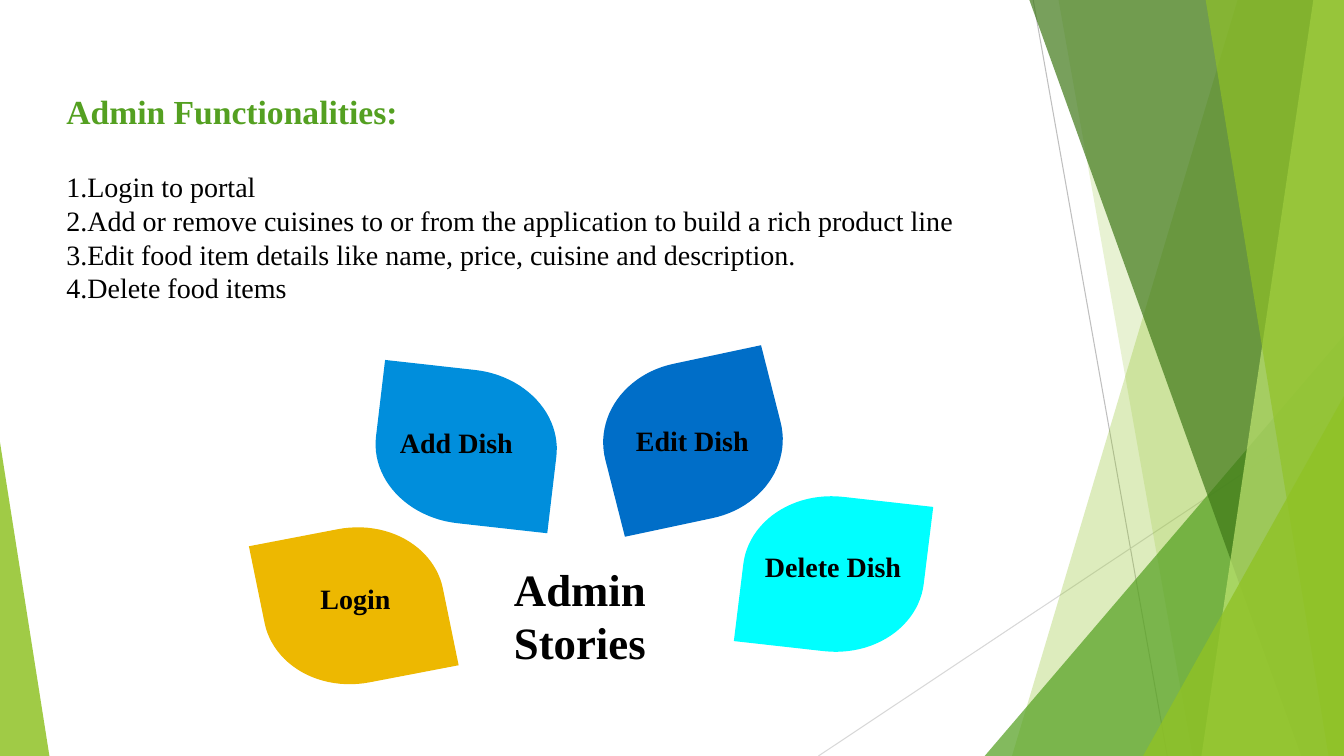
from math import cos, sin, pi
from lxml import etree
from pptx import Presentation, util as u
from pptx.dml.color import RGBColor
from pptx.enum import shapes, text
from pptx.oxml.ns import qn

HUES = {
    "lime": "90C226", "leaf": "54A021", "moss": "3F7818", "pale": "BFE471",
    "gray": "BFBFBF", "mist": "D8D8D8", "black": "000000",
    "gold": "EDB801", "sky": "008EDC", "blue": "006EC8", "cyan": "00FFFF",
}
WIDE, HIGH, BLEED = 960, 540, -0.6


class Deck:
    """Holds the style and the current slide, and draws each kind of element."""

    def __init__(self, font, hues):
        self.font, self.hues = font, hues
        self.prs = Presentation()
        self.prs.slide_width, self.prs.slide_height = u.Pt(WIDE), u.Pt(HIGH)
        self.slide = self.prs.slides.add_slide(self.prs.slide_layouts[6])

    def hue(self, name):
        return RGBColor.from_string(self.hues[name])

    def paint(self, shape, name, alpha=100):
        shape.shadow.inherit = False
        shape.line.fill.background()
        shape.fill.solid()
        shape.fill.fore_color.rgb = self.hue(name)
        if alpha < 100:
            color = shape.fill._xPr.find(qn("a:solidFill")).find(qn("a:srgbClr"))
            etree.SubElement(color, qn("a:alpha")).set("val", str(alpha * 1000))

    def line(self, x1, y1, x2, y2, name):
        ends = [u.Pt(n) for n in (x1, y1, x2, y2)]
        line = self.slide.shapes.add_connector(shapes.MSO_CONNECTOR.STRAIGHT, *ends)
        line.line.color.rgb = self.hue(name)
        line.line.width = u.Pt(0.75)
        etree.SubElement(line._element.spPr, qn("a:effectLst"))

    def outline(self, dots, name, alpha=100):
        dots = [(u.Pt(x), u.Pt(y)) for x, y in dots]
        pen = self.slide.shapes.build_freeform(*dots[0], scale=1.0)
        pen.add_line_segments(dots[1:], close=True)
        self.paint(pen.convert_to_shape(), name, alpha)

    def facet(self, top, base, name, alpha):
        dots = [(top, BLEED), (WIDE, BLEED), (WIDE, HIGH), (base, HIGH)]
        self.outline(dots, name, alpha)

    def wedge(self, x, y, wide, peak, name, alpha):
        box = [u.Pt(n) for n in (x, y, wide, HIGH - y)]
        kind = shapes.MSO_SHAPE.ISOSCELES_TRIANGLE
        shape = self.slide.shapes.add_shape(kind, *box)
        shape.adjustments[0] = peak
        self.paint(shape, name, alpha)

    def petal(self, mid, side, base, name, steps=24):
        (cx, cy), (sx, sy), (bx, by) = mid, side, base
        half = [(-1, -1)]
        for i in range(steps + 1):
            turn = pi / 2 * i / steps
            half.append((sin(turn), -cos(turn)))
        ring = half + [(-s, -b) for s, b in half]
        dots = [(cx + s * sx + b * bx, cy + s * sy + b * by) for s, b in ring]
        self.outline(dots, name)

    def label(self, x, y, wide, high, rows, size, name="black", bold=True, wrap=False):
        box = [u.Pt(n) for n in (x, y, wide, high)]
        frame = self.slide.shapes.add_textbox(*box).text_frame
        frame.word_wrap = wrap
        frame.text = "\n".join(rows)
        for para in frame.paragraphs:
            self.style(para, size, name, bold)
        return frame

    def style(self, para, size, name, bold):
        for run in para.runs:
            run.font.name, run.font.size = self.font, u.Pt(size)
            run.font.bold, run.font.color.rgb = bold, self.hue(name)


deck = Deck("Times New Roman", HUES)

deck.line(738, 0, 833.8, HIGH, "gray")
deck.line(WIDE, 290.2, 584.6, HIGH, "mist")
deck.facet(884.2, 722.9, "lime", 30)
deck.facet(756, 851.8, "lime", 20)
deck.wedge(703.4, 239.8, 256.6, 1, "leaf", 72)
deck.facet(735.1, 929.5, "moss", 70)
deck.facet(938.2, 858.2, "pale", 70)
deck.facet(861.1, 949, "lime", 65)
deck.wedge(816.5, 283, 143.5, 1, "lime", 80)
deck.wedge(0, 316, 35.3, 0, "lime", 85)

ROWS = [
    "Admin Functionalities:",
    "1.Login to portal",
    "2.Add or remove cuisines to or from the application to build a rich product line",
    "3.Edit food item details like name, price, cuisine and description.",
    "4.Delete food items",
]
body = deck.label(40.3, 20.9, 805, 242.6, ROWS, 20, bold=False, wrap=True)
body.vertical_anchor = text.MSO_ANCHOR.TOP
body.margin_top = u.Pt(44)
head, *items = body.paragraphs
deck.style(head, 24, "leaf", True)
for item in items:
    item.line_spacing = u.Pt(24)
items[0].space_before = u.Pt(27.7)

PETALS = [
    ((495, 315), (-62.6, 13.3), (14, 55.1), "blue"),
    ((595.4, 410), (64.4, 7.2), (6.8, -55.1), "cyan"),
    ((333, 319), (-6.5, 54.7), (64.4, 7.2), "sky"),
    ((252.7, 432.7), (11.2, 54.7), (63.7, -12.2), "gold"),
]
for petal in PETALS:
    deck.petal(*petal)

deck.label(360, 397.4, 190.8, 85, ["Admin Stories"], 32, wrap=True)
LABELS = [
    (539.3, 388.8, 112.3, "Delete Dish"),
    (221.8, 411.8, 102.2, "Login"),
    (278.6, 300.2, 123.1, "Add Dish"),
    (447.1, 298.8, 95.8, "Edit Dish"),
]
for x, y, wide, name in LABELS:
    deck.label(x, y, wide, 31.7, [name], 20)

deck.prs.save("out.pptx")
